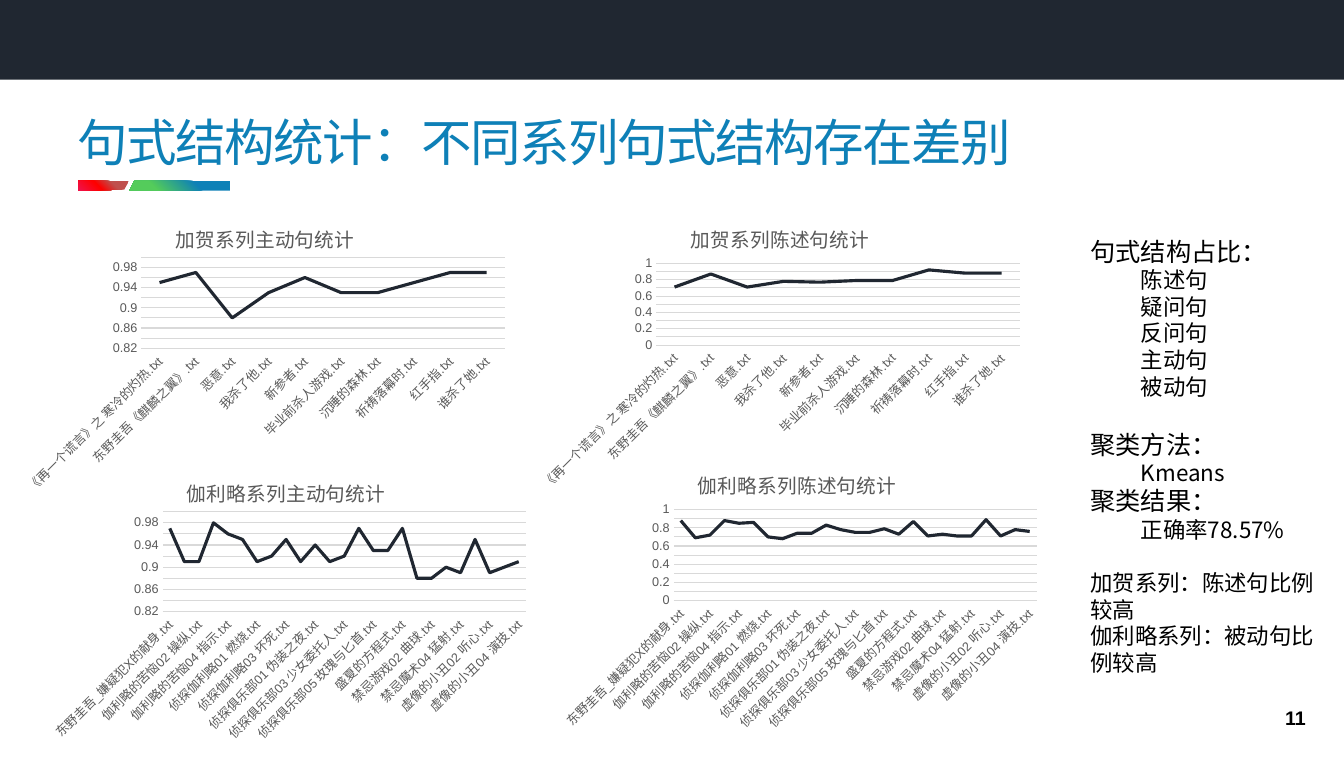
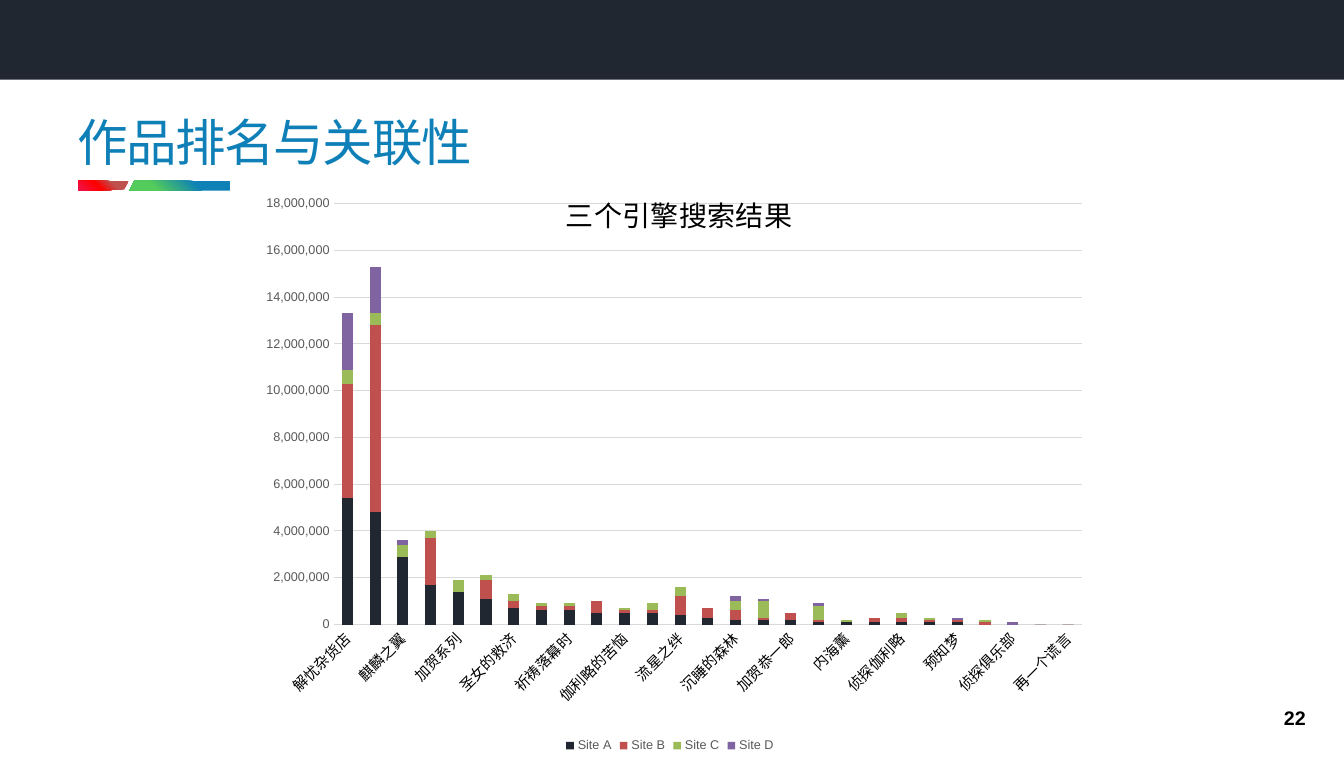
from dataclasses import dataclass

import pptx
import pptx.chart.data
import pptx.dml.color
import pptx.enum.chart
import pptx.enum.shapes
import pptx.enum.text
import pptx.oxml
import pptx.oxml.ns
import pptx.util
from lxml import etree

Inches = pptx.util.Inches
Pt = pptx.util.Pt
qn = pptx.oxml.ns.qn
Kind = pptx.enum.chart.XL_CHART_TYPE

# Shared look
CJK, LATIN = "Noto Sans CJK SC", "Arial"
DARK, BLUE, BLACK = "202731", "0E80B7", "000000"
GREY, PALE = "595959", "D9D9D9"
WIDE, HIGH = 13.31, 7.5


@dataclass
class Box:
    left: float
    top: float
    width: float
    height: float

    def emu(self) -> list:
        return [Inches(v) for v in (self.left, self.top, self.width, self.height)]


@dataclass
class Stripe:
    points: list
    stops: list


@dataclass
class Line:
    text: str
    size: float = 16
    indent: float = 0
    before: float = 0


@dataclass
class Scale:
    low: float
    high: float
    step: float
    form: str = "General"


@dataclass
class Graph:
    title: str
    box: Box
    kind: Kind
    cats: list
    series: list  # (name, values, colour)
    scale: Scale
    plot: Box  # fractions of the chart
    head: tuple  # title place, as fractions of the chart
    size: float = 14
    tone: str = GREY
    label: tuple = (9, GREY, LATIN)


STRIPES = [
    Stripe([(0.78, 1.79), (1.28, 1.79), (1.23, 1.88), (0.78, 1.89)],
           [(0, "F0134E"), (40, "FF0000"), (68, "C0504D")]),
    Stripe([(2.28, 1.89), (1.28, 1.89), (1.33, 1.79), (2.28, 1.79)],
           [(26, "54CC5B"), (67, "0E81B7")]),
]


def rgb(code: str) -> pptx.dml.color.RGBColor:
    return pptx.dml.color.RGBColor.from_string(code)


def style(font, size: float, tone: str, face: str = CJK, bold: bool = False) -> None:
    font.size, font.bold, font.name = Pt(size), bold, face
    font.color.rgb = rgb(tone)
    etree.SubElement(font._rPr, qn("a:ea")).set("typeface", CJK)


def write(para, text: str, *look):
    run = para.add_run()
    run.text = text
    style(run.font, *look)
    return run


def frame(slide, box: Box, middle: bool = False):
    body = slide.shapes.add_textbox(*box.emu()).text_frame
    body.word_wrap = True
    if middle:
        body.vertical_anchor = pptx.enum.text.MSO_ANCHOR.MIDDLE
    return body


# Band, title, stripes and page number
def draw_stripe(slide, stripe: Stripe) -> None:
    first, *rest = [(Inches(x), Inches(y)) for x, y in stripe.points]
    pen = slide.shapes.build_freeform(*first)
    pen.add_line_segments(rest, close=True)
    shape = pen.convert_to_shape()
    shape.shadow.inherit = False
    shape.line.fill.background()
    shape.fill.gradient()
    old = shape._element.spPr.find(qn("a:gradFill"))
    stops = "".join(f'<a:gs pos="{at * 1000}"><a:srgbClr val="{tone}"/></a:gs>'
                    for at, tone in stripe.stops)
    new = pptx.oxml.parse_xml(
        f'<a:gradFill {pptx.oxml.ns.nsdecls("a")} rotWithShape="1">'
        f'<a:gsLst>{stops}</a:gsLst><a:path path="circle">'
        '<a:fillToRect t="100000" r="100000"/></a:path></a:gradFill>')
    old.getparent().replace(old, new)


def add_page(deck, title: str, number: str):
    slide = deck.slides.add_slide(deck.slide_layouts[6])
    band = slide.shapes.add_shape(pptx.enum.shapes.MSO_SHAPE.RECTANGLE,
                                  *Box(0, 0, WIDE, 0.79).emu())
    band.shadow.inherit = False
    band.fill.solid()
    band.fill.fore_color.rgb = rgb(DARK)
    band.line.fill.background()
    for stripe in STRIPES:
        draw_stripe(slide, stripe)
    head = frame(slide, Box(0.67, 0.97, 11.98, 0.87), True).paragraphs[0]
    write(head, title, 36, BLUE).font._rPr.set("spc", "-100")
    foot = frame(slide, Box(11.48, 6.93, 1.55, 0.36), True).paragraphs[0]
    foot.alignment = pptx.enum.text.PP_ALIGN.RIGHT
    write(foot, number, 14, BLACK, LATIN, True)
    return slide


def add_notes(slide, box: Box, lines: list) -> None:
    body = frame(slide, box)
    for i, line in enumerate(lines):
        para = body.add_paragraph() if i else body.paragraphs[0]
        para.line_spacing = Pt(line.size * 1.19)
        if line.before:
            para.space_before = Pt(line.before)
        if line.indent:
            para._p.get_or_add_pPr().set("marL", str(Inches(line.indent)))
        write(para, line.text, line.size, BLACK)


# Charts
def place(part, inner: bool, **spots: float) -> None:
    lay = part.find(qn("c:layout"))
    if lay is None:
        lay = etree.Element(qn("c:layout"))
        part.insert(0 if part.find(qn("c:tx")) is None else 1, lay)
    for child in list(lay):
        lay.remove(child)
    hand = etree.SubElement(lay, qn("c:manualLayout"))
    fields = {"layoutTarget": "inner"} if inner else {}
    fields |= {"xMode": "edge", "yMode": "edge"} | spots
    for key, value in fields.items():
        etree.SubElement(hand, qn("c:" + key)).set("val", str(value))


def set_axes(chart, graph: Graph) -> None:
    none = pptx.enum.chart.XL_TICK_MARK.NONE
    cat, val = chart.category_axis, chart.value_axis
    for axis, look in ((cat, graph.label), (val, (9, GREY, LATIN))):
        axis.major_tick_mark = axis.minor_tick_mark = none
        style(axis.tick_labels.font, *look)
    turn = cat._element.find(qn("c:txPr")).find(qn("a:bodyPr"))
    turn.set("rot", "-2700000")
    turn.set("vert", "horz")
    val.has_major_gridlines = True
    val.format.line.fill.background()
    for line in (cat.format.line, val.major_gridlines.format.line):
        line.color.rgb = rgb(PALE)
        line.width = Pt(0.75)
    scale = graph.scale
    val.minimum_scale, val.maximum_scale = scale.low, scale.high
    val.major_unit = scale.step
    val.tick_labels.number_format = scale.form
    val.tick_labels.number_format_is_linked = False


def add_graph(slide, graph: Graph) -> None:
    data = pptx.chart.data.CategoryChartData()
    data.categories = graph.cats
    for name, vals, _ in graph.series:
        data.add_series(name, vals)
    chart = slide.shapes.add_chart(graph.kind, *graph.box.emu(), data).chart
    style(chart.font, 10, BLACK, LATIN)
    chart.has_title = True
    title = chart.chart_title
    write(title.text_frame.paragraphs[0], graph.title, graph.size, graph.tone)
    place(title._element, False, x=graph.head[0], y=graph.head[1])
    plot = graph.plot
    place(chart._chartSpace.chart.plotArea, True, x=plot.left, y=plot.top,
          w=plot.width, h=plot.height)
    set_axes(chart, graph)
    chart.plots[0].vary_by_categories = False
    for series, (_, _, tone) in zip(chart.plots[0].series, graph.series):
        if graph.kind == Kind.LINE:
            series.smooth = False
            series.format.line.color.rgb = rgb(tone)
            series.format.line.width = Pt(2.25)
        else:
            series.format.fill.solid()
            series.format.fill.fore_color.rgb = rgb(tone)
    chart.has_legend = len(graph.series) > 1
    if chart.has_legend:
        chart.legend.position = pptx.enum.chart.XL_LEGEND_POSITION.BOTTOM
        chart.legend.include_in_layout = False
        style(chart.legend.font, 9, GREY, LATIN)
    if graph.kind == Kind.COLUMN_STACKED:
        chart.plots[0].gap_width, chart.plots[0].overlap = 150, 100


# Sentence structure data
KAGA = [name + ".txt" for name in (
    "《再一个谎言》之 寒冷的灼热", "东野圭吾《麒麟之翼》", "恶意", "我杀了他", "新参者",
    "毕业前杀人游戏", "沉睡的森林", "祈祷落幕时", "红手指", "谁杀了她")]
GALI = [name + ".txt" for name in (
    "东野圭吾_嫌疑犯X的献身", "伽利略的苦恼01 坠落 ", "伽利略的苦恼02 操纵",
    "伽利略的苦恼03 密室", "伽利略的苦恼04 指示", "伽利略的苦恼05 扰乱",
    "侦探伽利略01 燃烧", "侦探伽利略02 映现", "侦探伽利略03 坏死", "侦探伽利略04 爆裂",
    "侦探俱乐部01 伪装之夜", "侦探俱乐部02 疯狂的电击", "侦探俱乐部03 少女委托人",
    "侦探俱乐部04 伊豆旅馆的神秘案", "侦探俱乐部05 玫瑰与匕首", "圣女的救济",
    "盛夏的方程式", "禁忌游戏01 透视", "禁忌游戏02 曲球", "禁忌游戏03 恋波",
    "禁忌魔术04 猛射", "虚像的小丑01 幻惑", "虚像的小丑02 听心",
    "虚像的小丑03 伪装", "虚像的小丑04 演技")]
ACTIVE, STATED = Scale(0.82, 1, 0.02), Scale(0, 1, 0.1)
TRENDS = [
    ("加贺系列主动句统计", 0.1, 1.98, KAGA, ACTIVE, 0.3,
     [0.95, 0.97, 0.88, 0.93, 0.96, 0.93, 0.93, 0.95, 0.97, 0.97]),
    ("伽利略系列陈述句统计", 5.37, 4.42, GALI, STATED, 0.3,
     [0.88, 0.69, 0.72, 0.88, 0.85, 0.86, 0.7, 0.68, 0.74, 0.74, 0.83, 0.78, 0.75,
      0.75, 0.79, 0.73, 0.87, 0.71, 0.73, 0.71, 0.71, 0.89, 0.71, 0.78, 0.76]),
    ("伽利略系列主动句统计", 0.31, 4.5, GALI, ACTIVE, 0.33,
     [0.97, 0.91, 0.91, 0.98, 0.96, 0.95, 0.91, 0.92, 0.95, 0.91, 0.94, 0.91, 0.92,
      0.97, 0.93, 0.93, 0.97, 0.88, 0.88, 0.9, 0.89, 0.95, 0.89, 0.9, 0.91]),
    ("加贺系列陈述句统计", 5.2, 1.98, KAGA, STATED, 0.27,
     [0.71, 0.87, 0.71, 0.78, 0.77, 0.79, 0.79, 0.92, 0.88, 0.88]),
]
NOTES = [
    Line("句式结构占比：", 18),
    *[Line(kind, indent=0.5) for kind in ("陈述句", "疑问句", "反问句", "主动句", "被动句")],
    Line("聚类方法：", 18, before=21),
    Line("Kmeans", indent=0.5),
    Line("聚类结果：", 18),
    Line("正确率78.57%", indent=0.5),
    Line("加贺系列：陈述句比例较高", before=19),
    Line("伽利略系列：被动句比例较高"),
]

# Search results, in units of 100,000
BOOKS = ["解忧杂货店", "白夜行", "麒麟之翼", "嫌疑犯X的献身", "加贺系列", "恶意 ",
         "圣女的救济", "祈祷落幕时", "祈祷落幕时", "新参者", "伽利略的苦恼",
         "盛夏的方程式", "流星之绊", "汤川学", "沉睡的森林", "我杀了她", "加贺恭一郎",
         "谁杀了她", "内海薰", "红手指", "侦探伽利略", "梦幻花", "预知梦",
         "毕业前杀人游戏", "侦探俱乐部", "虚幻小丑", "再一个谎言"]
HITS = [
    ("Site A", DARK, [54, 48, 29, 17, 14, 11, 7, 6, 6, 5, 5, 5, 4, 3, 2, 2, 2, 1, 1,
                      1, 1, 1, 1, 0, 0, 0, 0]),
    ("Site B", "C0504D", [49, 80, 0, 20, 0, 8, 3, 2, 2, 5, 1, 1, 8, 4, 4, 1, 3, 1, 0,
                          2, 2, 1, 1, 1, 0, 0, 0]),
    ("Site C", "9BBB59", [6, 5, 5, 3, 5, 2, 3, 1, 1, 0, 1, 3, 4, 0, 4, 7, 0, 6, 1, 0,
                          2, 1, 0, 1, 0, 0, 0]),
    ("Site D", "8064A2", [24, 20, 2, 0, 0, 0, 0, 0, 0, 0, 0, 0, 0, 0, 2, 1, 0, 1, 0,
                          0, 0, 0, 1, 0, 1, 0, 0]),
]


def main() -> None:
    deck = pptx.Presentation()
    deck.slide_width, deck.slide_height = Inches(WIDE), Inches(HIGH)

    # Sentence structure
    slide = add_page(deck, "句式结构统计：不同系列句式结构存在差别", "11")
    add_notes(slide, Box(10.7, 2.29, 2.47, 4.58), NOTES)
    for title, left, top, cats, scale, tall, vals in TRENDS:
        plot = Box(0.26, 0.19 if scale is ACTIVE else 0.21, 0.72, tall)
        head = (0.32 if cats is KAGA else 0.3, 0.06)
        add_graph(slide, Graph(title, Box(left, top, 5, 3), Kind.LINE, cats,
                               [("Series 1", vals, DARK)], scale, plot, head))

    # Search ranking
    slide = add_page(deck, "作品排名与关联性", "22")
    hits = [(name, [v * 100_000 for v in vals], tone) for name, tone, vals in HITS]
    add_graph(slide, Graph(
        "三个引擎搜索结果", Box(2.47, 1.54, 8.33, 5.96), Kind.COLUMN_STACKED, BOOKS, hits,
        Scale(0, 18_000_000, 2_000_000, "#,##0"), Box(0.1, 0.08, 0.89, 0.7),
        (0.37, 0.05), 20, BLACK, (10.5, BLACK, CJK)))
    deck.save("out.pptx")


if __name__ == "__main__":
    main()
